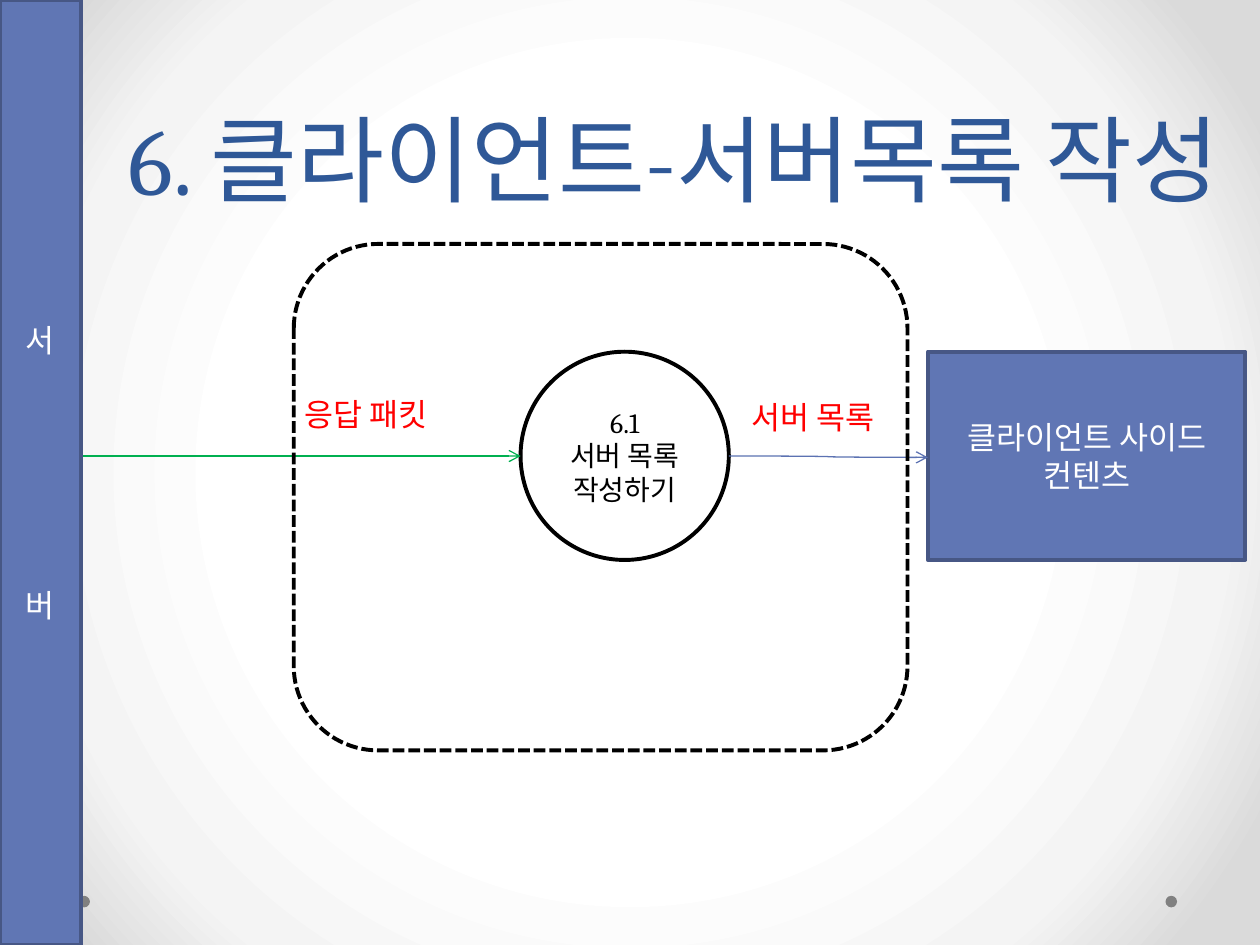
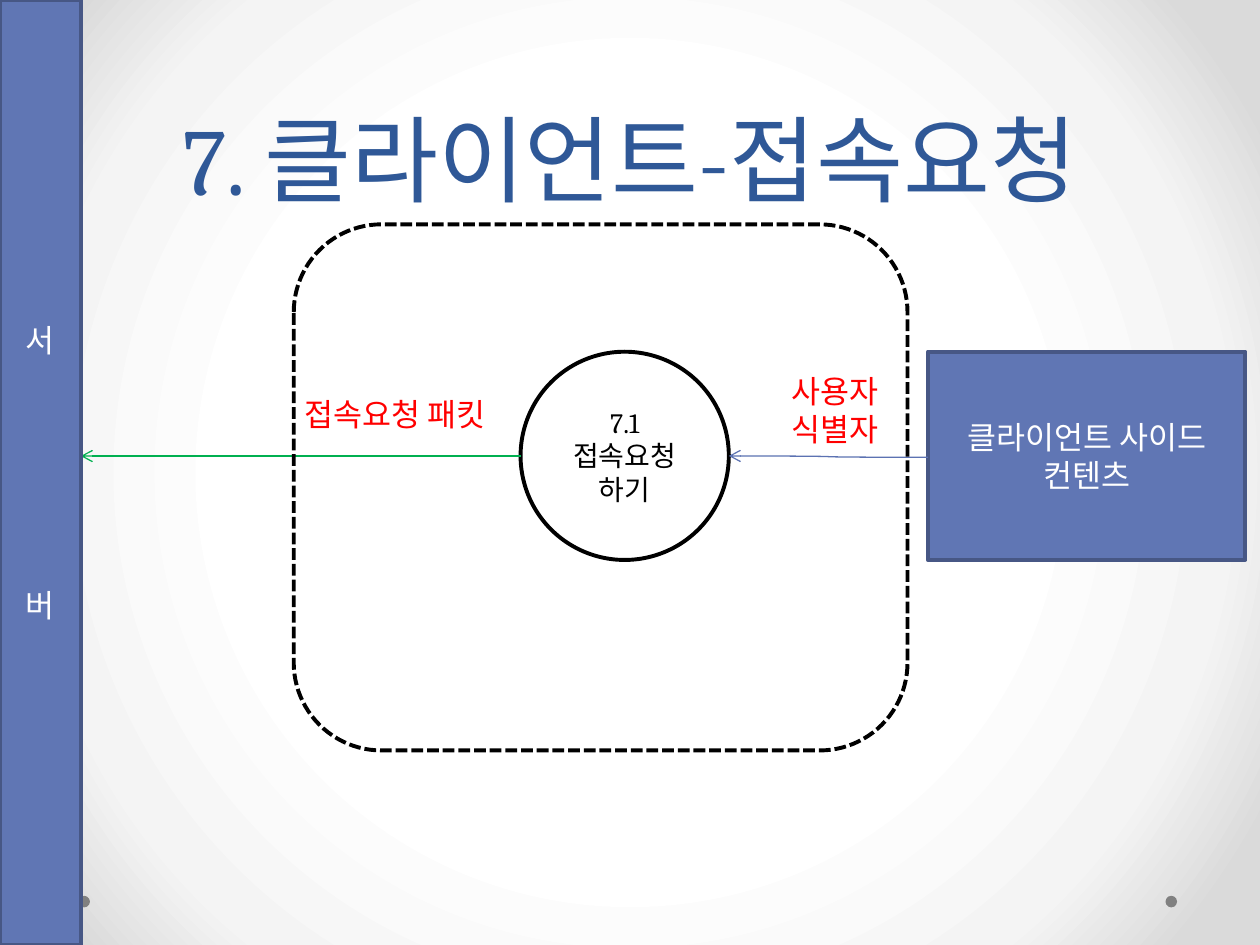
from lxml.etree import SubElement
from pptx import Presentation
from pptx.dml.color import RGBColor
from pptx.enum.dml import MSO_LINE
from pptx.enum.shapes import MSO_CONNECTOR, MSO_SHAPE
from pptx.enum.text import MSO_ANCHOR, MSO_AUTO_SIZE, PP_ALIGN
from pptx.oxml.ns import qn
from pptx.util import Pt

STEPS = [
    {
        "title": "6. 클라이언트-서버목록 작성",
        "title_width": 698.4,
        "process": ["6.1", "서버 목록", "작성하기"],
        "labels": [
            (["응답 패킷"], (167, 222, 108, 29)),
            (["서버 목록"], (422.6, 224, 108, 29)),
        ],
        "boundary_top": 139.4,
        "to_client": True,
    },
    {
        "title": "7. 클라이언트-접속요청",
        "title_width": 648,
        "process": ["7.1", "접속요청", "하기"],
        "labels": [
            (["접속요청 패킷"], (167, 222, 130.3, 29)),
            (["사용자", "식별자"], (445, 209.2, 73.4, 51)),
        ],
        "boundary_top": 128.2,
        "to_client": False,
    },
]
CLIENT = ["클라이언트 사이드", "컨텐츠"]
SERVER = ["서", "버"]

WIDTH, HEIGHT = 720, 540
BAND_WIDTH = 46.2
SERVER_GAP = 130
PROCESS = (297.5, 201, 119, 119)
CLIENT_BOX = (530.2, 201, 181.5, 119)
BOUNDARY_LEFT, BOUNDARY_WIDTH, BOUNDARY_BOTTOM = 167.9, 350.7, 428.8
FLOW_Y, CLIENT_FLOW_Y = 260.6, 261.4
DOT_LEFTS, DOT_TOP, DOT_SIZE = (44.8, 666), 511.9, 6.6
BACKDROP = [(50, "FFFFFF"), (76, "F4F4F4"), (92, "DADADA")]

FONT = "Cambria"
TITLE, INK, PAPER, ALERT = "2F5897", "000000", "FFFFFF", "FF0000"
PANEL, PANEL_EDGE = "6076B4", "475785"
SERVER_FLOW, CLIENT_FLOW, DOT = "00B050", "5C72B2", "808080"

TITLE_FRAME = {"vertical_anchor": MSO_ANCHOR.BOTTOM, "auto_size": MSO_AUTO_SIZE.NONE, "word_wrap": True}
SHAPE_FRAME = {"vertical_anchor": MSO_ANCHOR.MIDDLE, "word_wrap": True}
PROCESS_FRAME = SHAPE_FRAME | {f"margin_{side}": Pt(2.9) for side in ("left", "top", "right", "bottom")}
LABEL_FRAME = {"word_wrap": True, "auto_size": MSO_AUTO_SIZE.SHAPE_TO_FIT_TEXT}
CENTERED = {"alignment": PP_ALIGN.CENTER}


def color(value):
    return RGBColor.from_string(value)


def apply(target, values):
    for name, value in values.items():
        setattr(target, name, value)


def points(bounds):
    return [Pt(length) for length in bounds]


def write(shape, lines, size, ink, frame_format, paragraph_format):
    frame = shape.text_frame
    frame.text = "\n".join(lines)
    apply(frame, frame_format)
    for paragraph in frame.paragraphs:
        apply(paragraph, paragraph_format)
        for run in paragraph.runs:
            apply(run.font, {"name": FONT, "size": Pt(size)})
            run.font.color.rgb = color(ink)


def add_box(slide, preset, bounds, fill=None, edge=None):
    box = slide.shapes.add_shape(preset, *points(bounds))
    box.shadow.inherit = False
    if fill:
        box.fill.solid()
        box.fill.fore_color.rgb = color(fill)
    else:
        box.fill.background()
    if edge:
        box.line.color.rgb = color(edge)
        box.line.width = Pt(2.25)
    else:
        box.line.fill.background()
    return box


def add_flow(slide, kind, start, end, ink):
    flow = slide.shapes.add_connector(kind, *points(start + end))
    flow.line.color.rgb = color(ink)
    flow.line.width = Pt(0.75)
    SubElement(flow.line._get_or_add_ln(), qn("a:tailEnd"), type="arrow")
    SubElement(flow.element.spPr, qn("a:effectLst"))


def paint_backdrop(master):
    fill = master.background.fill
    fill.gradient()
    gradient = master.element.find(".//" + qn("a:gradFill"))
    for child in list(gradient):
        gradient.remove(child)
    stops = SubElement(gradient, qn("a:gsLst"))
    for position, shade in BACKDROP:
        stop = SubElement(stops, qn("a:gs"), pos=str(position * 1000))
        SubElement(stop, qn("a:srgbClr"), val=shade)
    spread = SubElement(gradient, qn("a:path"), path="circle")
    SubElement(spread, qn("a:fillToRect"), l="50000", t="50000", r="50000", b="50000")


def add_step(prs, step):
    slide = prs.slides.add_slide(prs.slide_layouts[5])
    for left in DOT_LEFTS:
        add_box(slide, MSO_SHAPE.OVAL, (left, DOT_TOP, DOT_SIZE, DOT_SIZE), DOT)

    title = slide.shapes.title
    apply(title, dict(zip(("left", "top", "width", "height"), points((36, 0, step["title_width"], 126)))))
    write(title, [step["title"]], 54, TITLE, TITLE_FRAME, CENTERED | {"line_spacing": Pt(58)})

    process = add_box(slide, MSO_SHAPE.OVAL, PROCESS, PAPER, INK)
    write(process, step["process"], 16, INK, PROCESS_FRAME, CENTERED)
    client = add_box(slide, MSO_SHAPE.RECTANGLE, CLIENT_BOX, PANEL, PANEL_EDGE)
    write(client, CLIENT, 18, PAPER, SHAPE_FRAME, CENTERED)

    process_right = PROCESS[0] + PROCESS[2]
    flows = [
        (MSO_CONNECTOR.CURVE, (process_right, FLOW_Y), (CLIENT_BOX[0], CLIENT_FLOW_Y), CLIENT_FLOW),
        (MSO_CONNECTOR.STRAIGHT, (BAND_WIDTH, FLOW_Y), (PROCESS[0], FLOW_Y), SERVER_FLOW),
    ]
    for kind, server_side, client_side, ink in flows:
        ends = (server_side, client_side) if step["to_client"] else (client_side, server_side)
        add_flow(slide, kind, *ends, ink)

    for lines, bounds in step["labels"]:
        label = slide.shapes.add_textbox(*points(bounds))
        write(label, lines, 18, ALERT, LABEL_FRAME, {})

    top = step["boundary_top"]
    boundary = add_box(
        slide, MSO_SHAPE.ROUNDED_RECTANGLE,
        (BOUNDARY_LEFT, top, BOUNDARY_WIDTH, BOUNDARY_BOTTOM - top), edge=INK,
    )
    boundary.line.dash_style = MSO_LINE.SQUARE_DOT

    server = add_box(slide, MSO_SHAPE.RECTANGLE, (0, 0, BAND_WIDTH, HEIGHT), PANEL, PANEL_EDGE)
    write(server, SERVER, 18, PAPER, SHAPE_FRAME, CENTERED)
    server.text_frame.paragraphs[-1].space_before = Pt(SERVER_GAP)


def main():
    prs = Presentation()
    prs.slide_width, prs.slide_height = points((WIDTH, HEIGHT))
    paint_backdrop(prs.slide_master)
    for step in STEPS:
        add_step(prs, step)
    prs.save("out.pptx")


if __name__ == "__main__":
    main()
